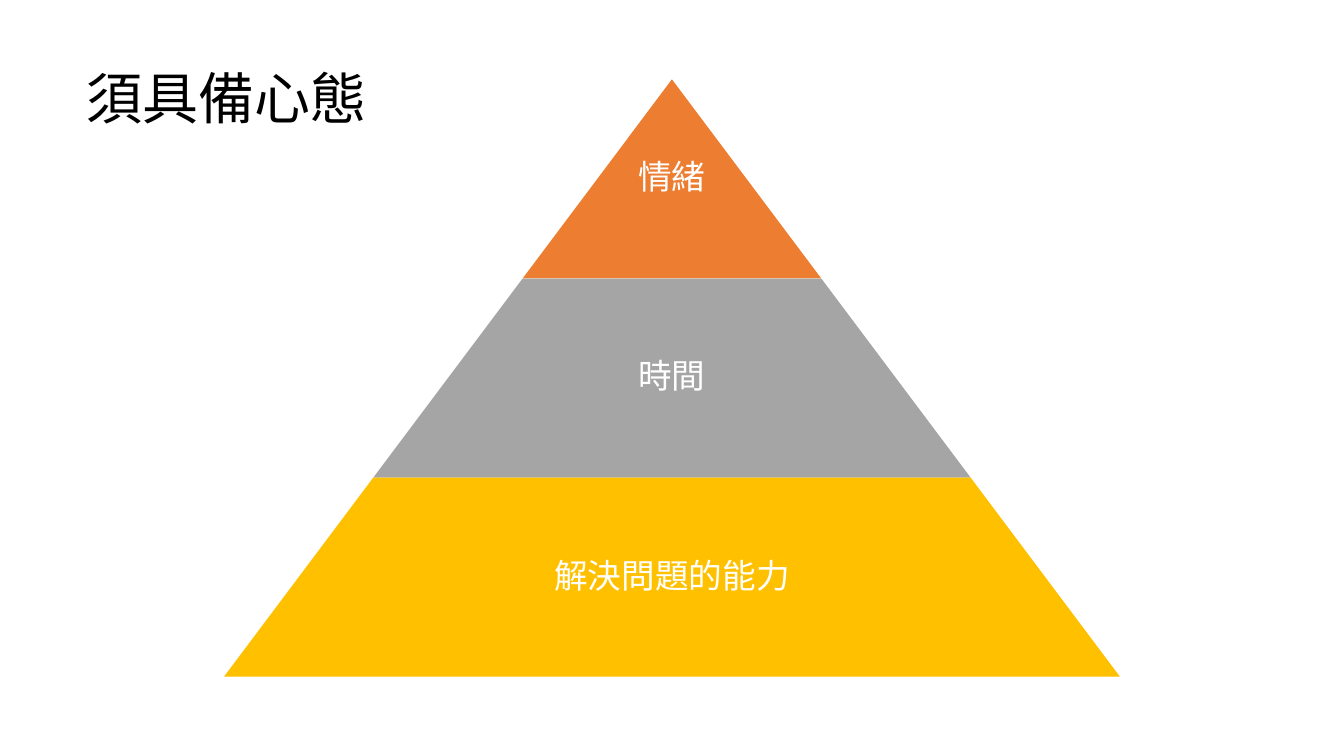
from lxml.etree import SubElement
from pptx import Presentation
from pptx.dml.color import RGBColor
from pptx.enum.shapes import MSO_SHAPE
from pptx.enum.text import MSO_ANCHOR, MSO_AUTO_SIZE, PP_ALIGN
from pptx.oxml.ns import qn
from pptx.util import Pt

ORANGE = RGBColor(0xED, 0x7D, 0x31)
GRAY = RGBColor(0xA5, 0xA5, 0xA5)
GOLD = RGBColor(0xFF, 0xC0, 0x00)
WHITE = RGBColor(0xFF, 0xFF, 0xFF)
BLACK = RGBColor(0x00, 0x00, 0x00)
FONT = "Noto Sans CJK SC"
LEVELS = [("情緒", ORANGE, 1), ("時間", GRAY, 0.65), ("解決問題的能力", GOLD, 0.65)]
SLOPE = 0.75


def add_text(shapes, box, text, size, color, align=PP_ALIGN.LEFT,
             anchor=MSO_ANCHOR.TOP, inset=None, spacing=None, after=None,
             auto_size=MSO_AUTO_SIZE.NONE):
    """Add a wrapped text box with one formatted paragraph."""
    frame = shapes.add_textbox(*map(Pt, box)).text_frame
    frame.word_wrap = True
    frame.auto_size = auto_size
    frame.vertical_anchor = anchor
    if inset is not None:
        frame.margin_left = frame.margin_right = Pt(inset)
        frame.margin_top = frame.margin_bottom = Pt(inset)
    para = frame.paragraphs[0]
    para.alignment = align
    para.line_spacing = spacing
    if after is not None:
        para.space_after = Pt(after)
    span = para.add_run()
    span.text = text
    span.font.size = Pt(size)
    span.font.color.rgb = color
    span.font.name = FONT
    SubElement(span.font._element, qn("a:ea"), typeface=FONT)


def add_level(page, box, label, color, text_share):
    """Draw one pyramid level with its label centred in the box."""
    left, top, width, height = box
    shapes = page.shapes.add_group_shape().shapes
    level = shapes.add_shape(MSO_SHAPE.TRAPEZOID, *map(Pt, box))
    level.adjustments[0] = SLOPE
    level.shadow.inherit = False
    level.fill.solid()
    level.fill.fore_color.rgb = color
    level.line.fill.background()
    text_width = width * text_share
    text_box = (left + (width - text_width) / 2, top, text_width, height)
    add_text(shapes, text_box, label, 24, WHITE, align=PP_ALIGN.CENTER,
             anchor=MSO_ANCHOR.MIDDLE, inset=2.4, spacing=0.9, after=8.4)


def add_pyramid(page, box):
    """Stack levels of equal height that widen evenly down the box."""
    left, top, width, height = box
    step = height / len(LEVELS)
    for index, (label, color, text_share) in enumerate(LEVELS):
        level_width = width * (index + 1) / len(LEVELS)
        level_box = (left + (width - level_width) / 2, top + index * step,
                     level_width, step)
        add_level(page, level_box, label, color, text_share)


def main():
    """Build the slide and save the deck."""
    deck = Presentation()
    deck.slide_width, deck.slide_height = Pt(960), Pt(540)
    page = deck.slides.add_slide(deck.slide_layouts[6])
    add_pyramid(page, (160, 56.7, 640, 426.67))
    add_text(page.shapes, (54.9, 41.8, 553.6, 55.7), "須具備心態", 40, BLACK,
             auto_size=MSO_AUTO_SIZE.SHAPE_TO_FIT_TEXT)
    deck.save("out.pptx")


if __name__ == "__main__":
    main()
